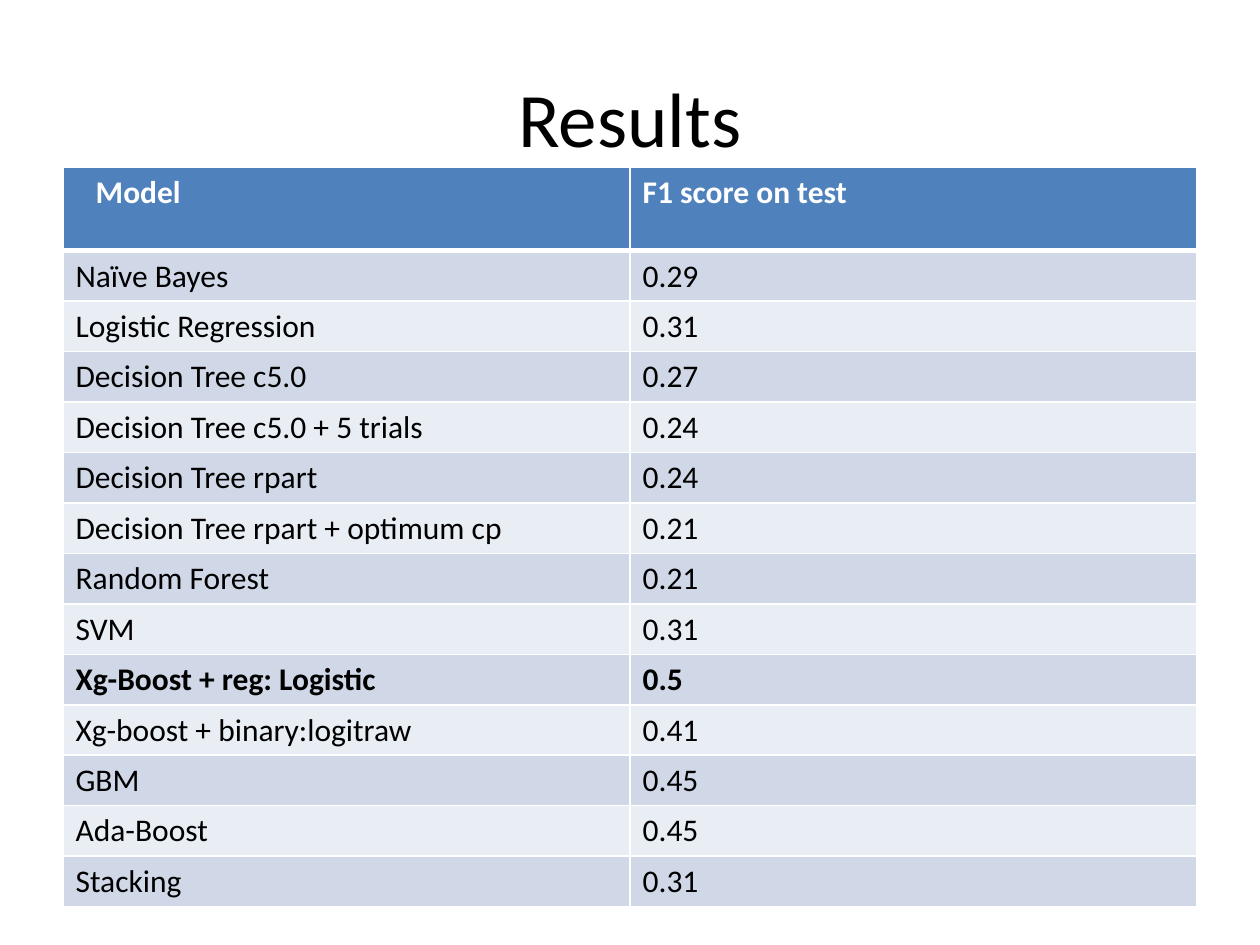
"""Build a results slide comparing the F1 scores of classification models."""
from lxml import etree
from pptx import Presentation, util as u
from pptx.dml.color import RGBColor
from pptx.enum import text
from pptx.oxml.ns import qn

TITLE = "Results"
HEADER = ("Model", "F1 score on test")
SCORES = [
    ("Naïve Bayes", "0.29"),
    ("Logistic Regression", "0.31"),
    ("Decision Tree c5.0", "0.27"),
    ("Decision Tree c5.0 + 5 trials", "0.24"),
    ("Decision Tree rpart", "0.24"),
    ("Decision Tree rpart + optimum cp", "0.21"),
    ("Random Forest", "0.21"),
    ("SVM", "0.31"),
    ("Xg-Boost + reg: Logistic", "0.5"),
    ("Xg-boost + binary:logitraw", "0.41"),
    ("GBM", "0.45"),
    ("Ada-Boost", "0.45"),
    ("Stacking", "0.31"),
]
BEST = max(SCORES, key=lambda row: float(row[1]))
COLORS = {"text": "000000", "white": "FFFFFF", "header": "4F81BD",
          "dark_band": "D0D8E8", "light_band": "E9EDF4"}
FONT = "Calibri"
LEFT, WIDTH = 0.5, 9
TABLE_TOP, HEADER_H, ROW_H = 1.33, 0.66, 0.4


def rgb(name):
    return RGBColor.from_string(COLORS[name])


def style(p, size, color, bold=False):
    for r in p.runs:
        r.font.name, r.font.size, r.font.bold = FONT, u.Pt(size), bold
        r.font.color.rgb = rgb(color)


def add_borders(cell, bottom):
    tcPr = cell._tc.get_or_add_tcPr()
    for i, (side, width) in enumerate((("L", 1), ("R", 1), ("T", 1), ("B", bottom))):
        ln = etree.Element(qn(f"a:ln{side}"), w=str(u.Pt(width)))
        fill = etree.SubElement(ln, qn("a:solidFill"))
        etree.SubElement(fill, qn("a:srgbClr"), val=COLORS["white"])
        tcPr.insert(i, ln)


def add_title(s):
    sp = s.shapes.add_textbox(u.Inches(LEFT), u.Inches(0.3), u.Inches(WIDTH), u.Inches(1.25))
    tf = sp.text_frame
    tf.word_wrap = True
    tf.vertical_anchor = text.MSO_ANCHOR.MIDDLE
    tf.text = TITLE
    p = tf.paragraphs[0]
    p.alignment = text.PP_ALIGN.CENTER
    style(p, 44, "text")


def add_results(s):
    rows = [HEADER] + SCORES
    height = HEADER_H + ROW_H * len(SCORES)
    table = s.shapes.add_table(len(rows), len(HEADER), u.Inches(LEFT), u.Inches(TABLE_TOP),
                               u.Inches(WIDTH), u.Inches(height)).table
    for col in table.columns:
        col.width = u.Inches(WIDTH / len(HEADER))
    for i, row in enumerate(rows):
        is_header = i == 0
        table.rows[i].height = u.Inches(HEADER_H if is_header else ROW_H)
        band = "header" if is_header else "dark_band" if i % 2 else "light_band"
        for j, value in enumerate(row):
            cell = table.cell(i, j)
            cell.text = value
            cell.fill.solid()
            cell.fill.fore_color.rgb = rgb(band)
            style(cell.text_frame.paragraphs[0], 18, "white" if is_header else "text",
                  is_header or row == BEST)
            add_borders(cell, 3 if is_header or i == 0 else 1)
    table.cell(0, 0).margin_left = u.Inches(0.26)


def main():
    prs = Presentation()
    prs.slide_width, prs.slide_height = u.Inches(10), u.Inches(7.5)
    s = prs.slides.add_slide(prs.slide_layouts[6])
    add_title(s)
    add_results(s)
    prs.save("out.pptx")


if __name__ == "__main__":
    main()
